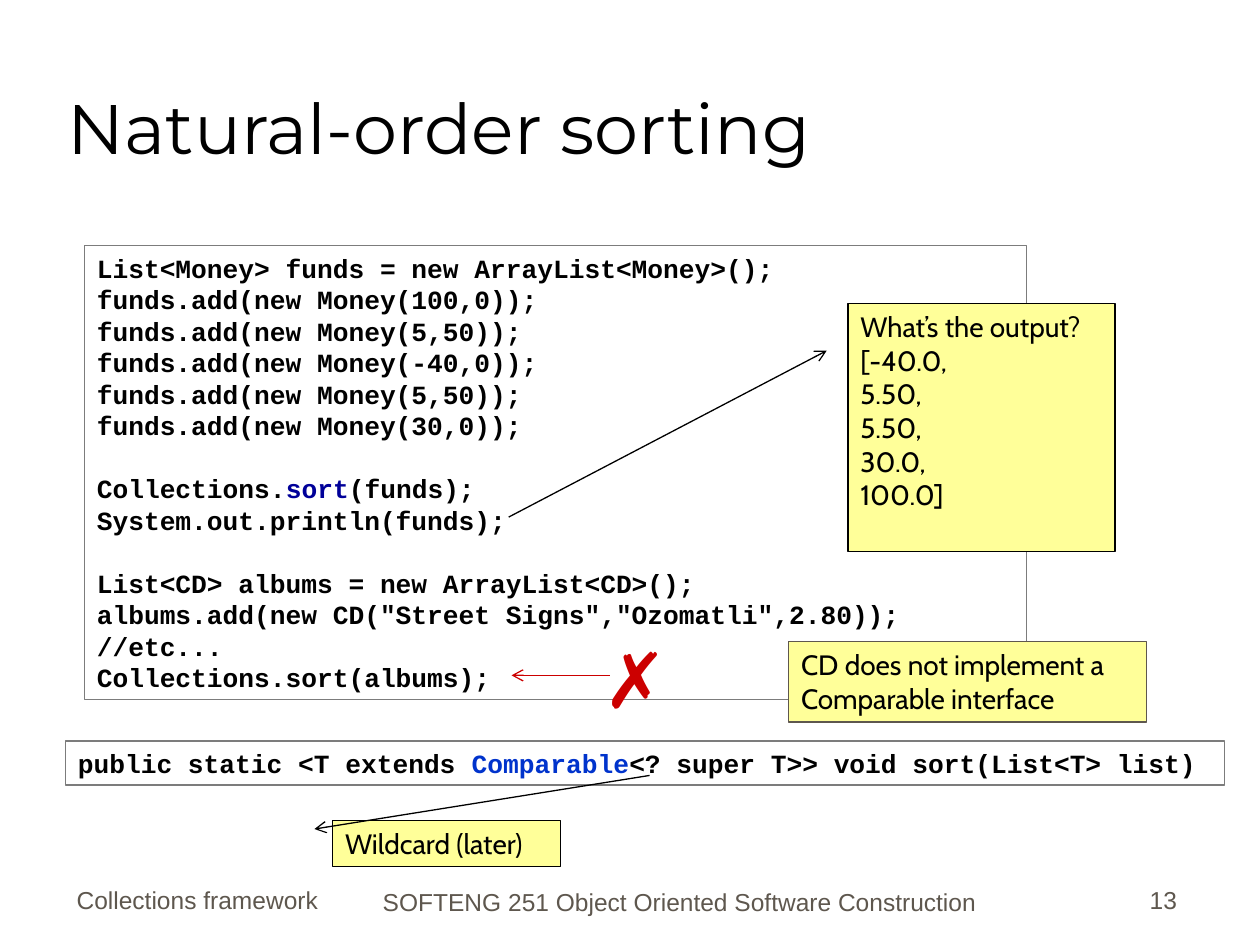
"""Build the slide on natural-order sorting."""
from lxml.etree import SubElement
from pptx import Presentation
from pptx.dml.color import RGBColor
from pptx.enum.shapes import MSO_CONNECTOR, MSO_SHAPE
from pptx.enum.text import MSO_ANCHOR, PP_ALIGN
from pptx.oxml.ns import qn
from pptx.util import Inches, Pt

THEME = {
    "ink": "000000", "edge": "7C7C7C", "soft": "5E574E", "note": "FFFF99",
    "wrong": "CC0000", "call": "000099", "type": "0033CC",
    "title": ("Montserrat", 40, False), "code": ("Courier New", 15, True),
    "text": ("Cabin", 16, False), "foot": ("Arial", 14, False),
    "mark": ("Arial", 44, True), "gap": 18, "line": 0.75,
}
RECT, CALL = MSO_SHAPE.RECTANGLE, MSO_SHAPE.LINE_CALLOUT_1
TOP, MID, BASE = MSO_ANCHOR.TOP, MSO_ANCHOR.MIDDLE, MSO_ANCHOR.BOTTOM
LEFT, MIDST, RIGHT = PP_ALIGN.LEFT, PP_ALIGN.CENTER, PP_ALIGN.RIGHT

deck = Presentation()
deck.slide_width, deck.slide_height = Inches(10), Inches(7.5)
COL, ROW = deck.slide_width / 100, deck.slide_height / 75
slide = deck.slides.add_slide(deck.slide_layouts[6])


def place(cells):
    return [round(cell * unit) for cell, unit in zip(cells, (COL, ROW) * 2)]


def write(shape, parts, style, ink="ink", anchor=TOP, align=LEFT):
    face, size, bold = THEME[style]
    frame = shape.text_frame
    frame.word_wrap = True
    frame.vertical_anchor = anchor
    spot = frame.paragraphs[0]
    for part in parts:
        for block, lines in enumerate(part):
            if spot is None:
                spot = frame.add_paragraph()
                if block == 0:
                    spot.space_before = Pt(THEME["gap"])
            spot.alignment = align
            for words, tint in lines if isinstance(lines, list) else [(lines, ink)]:
                run = spot.add_run()
                run.text = words
                run.font.name, run.font.size, run.font.bold = face, Pt(size), bold
                run.font.color.rgb = RGBColor.from_string(THEME[tint])
            spot = None


code = [
    ["List<Money> funds = new ArrayList<Money>();", "funds.add(new Money(100,0));",
     "funds.add(new Money(5,50));", "funds.add(new Money(-40,0));",
     "funds.add(new Money(5,50));", "funds.add(new Money(30,0));"],
    [[("Collections.", "ink"), ("sort", "call"), ("(funds);", "ink")],
     "System.out.println(funds);"],
    ["List<CD> albums = new ArrayList<CD>();",
     'albums.add(new CD("Street Signs","Ozomatli",2.80));',
     "//etc...", "Collections.sort(albums);"],
]
header = [[[("public static <T extends ", "ink"), ("Comparable", "type"),
            ("<? super T>> void sort(List<T> list)", "ink")]]]
result = [["What’s the output?", "[-40.0,", "5.50,", "5.50,", "30.0,", "100.0]"]]
reason = [["CD does not implement a Comparable interface"]]

boxes = [
    (RECT, (6.7, 19.5, 74.8, 36), None, "edge", code, "code", MID, ()),
    (RECT, (5.2, 58.8, 92, 3.5), None, "edge", header, "code", MID, ()),
    (CALL, (67.3, 24.1, 21.2, 19.7), "note", "ink", result, "text", TOP,
     (0.19, -0.08, 0.86, -1.27)),
    (RECT, (62.6, 50.9, 28.4, 6.4), "note", "soft", reason, "text", TOP, ()),
    (CALL, (26.4, 65.1, 18.1, 3.7), "note", "ink", [["Wildcard (later)"]], "text", TOP,
     (0.19, -0.08, -0.96, 1.39)),
]
for kind, cells, fill, edge, parts, style, anchor, bends in boxes:
    box = slide.shapes.add_shape(kind, *place(cells))
    box.shadow.inherit = False
    if fill:
        box.fill.solid()
        box.fill.fore_color.rgb = RGBColor.from_string(THEME[fill])
    else:
        box.fill.background()
    box.line.color.rgb = RGBColor.from_string(THEME[edge])
    box.line.width = Pt(THEME["line"])
    for index, bend in enumerate(bends):
        box.adjustments[index] = bend
    if bends:
        SubElement(box.line._get_or_add_ln(), qn("a:headEnd"), type="arrow")
    write(box, parts, style, anchor=anchor)

group = slide.shapes.add_group_shape()
labels = [
    (slide, (4.4, 2.5, 85, 11.4), "Natural-order sorting", "title", "ink", BASE, LEFT),
    (slide, (5.1, 68.1, 33.6, 5), "Collections framework", "foot", "soft", BASE, LEFT),
    (slide, (25.6, 68.2, 56.7, 5), "SOFTENG 251 Object Oriented Software Construction",
     "foot", "soft", BASE, MIDST),
    (slide, (73.6, 68.1, 20.8, 5), "13", "foot", "soft", BASE, RIGHT),
    (group, (46.9, 49.6, 4.7, 8.4), "✗", "mark", "wrong", TOP, LEFT),
]
for home, cells, words, style, ink, anchor, align in labels:
    label = home.shapes.add_textbox(*place(cells))
    write(label, [[words]], style, ink, anchor, align)

arrow = group.shapes.add_connector(MSO_CONNECTOR.STRAIGHT, *place((48.4, 53.6, 40.6, 53.6)))
arrow.line.color.rgb = RGBColor.from_string(THEME["wrong"])
arrow.line.width = Pt(THEME["line"])
SubElement(arrow.line._get_or_add_ln(), qn("a:tailEnd"), type="arrow")
SubElement(arrow._element.spPr, qn("a:effectLst"))

deck.save("out.pptx")
